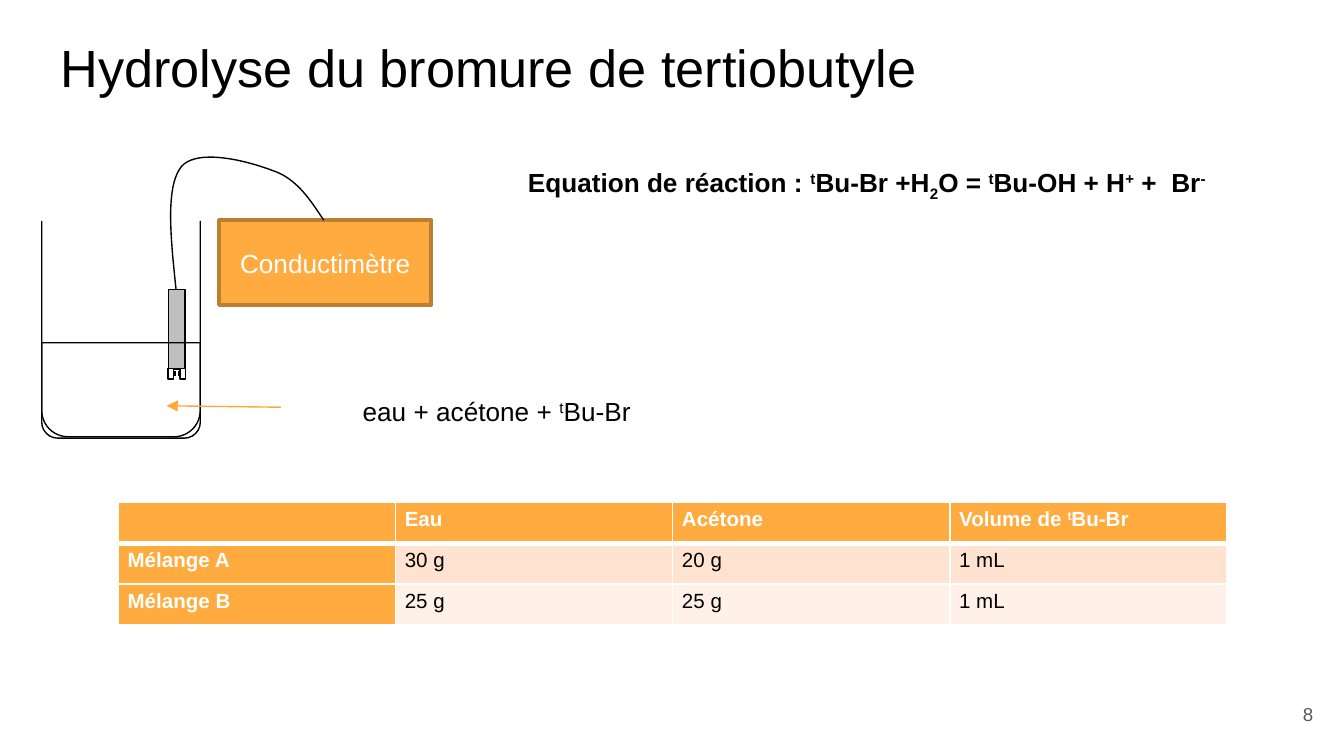
"""Build the slide on the hydrolysis of tert-butyl bromide."""
from dataclasses import dataclass
from typing import Optional

import pptx
import pptx.dml.color
import pptx.enum.shapes
import pptx.enum.text
import pptx.oxml
import pptx.oxml.ns
import pptx.util
from pptx.util import Inches

RGBColor = pptx.dml.color.RGBColor
ShapeType = pptx.enum.shapes.MSO_SHAPE
Align = pptx.enum.text.PP_ALIGN
Anchor = pptx.enum.text.MSO_ANCHOR

BLACK = RGBColor(0, 0, 0)
WHITE = RGBColor(255, 255, 255)
ORANGE = RGBColor(0xFF, 0xAB, 0x40)
DARK_ORANGE = RGBColor(0xBD, 0x7F, 0x2F)
ARROW_ORANGE = RGBColor(0xFE, 0xA8, 0x3A)
PEACH = RGBColor(0xFF, 0xE2, 0xCF)
PALE_PEACH = RGBColor(0xFF, 0xF1, 0xE8)
GREY = RGBColor(0xBF, 0xBF, 0xBF)
PAGE_GREY = RGBColor(0x59, 0x59, 0x59)
FONT = "Arial"
SUPERSCRIPT, SUBSCRIPT = 30000, -25000


@dataclass(frozen=True)
class Piece:
    text: str
    baseline: int = 0


@dataclass(frozen=True)
class Part:
    left: float
    top: float
    width: float
    height: float
    fill: Optional[RGBColor] = None
    line: RGBColor = BLACK
    line_width: float = 0.75
    kind: ShapeType = ShapeType.RECTANGLE
    rotation: float = 0


@dataclass(frozen=True)
class Segment:
    start: tuple[float, float]
    end: tuple[float, float]
    color: RGBColor = BLACK
    width: float = 1
    arrow: bool = False


TERT = Piece("t", SUPERSCRIPT)
PROBE = [
    Part(1.02, 2.39, 0.59, 0.12, GREY, rotation=90),
    Part(1.25, 2.74, 0.04, 0.08, WHITE),
    Part(1.34, 2.74, 0.04, 0.08, WHITE),
]
ELECTRODES = [Segment((x, 2.76), (x, 2.8)) for x in (1.3, 1.33)]
BEAKER = [
    Part(0.31, 1.6, 1.18, 1.65, kind=ShapeType.ROUND_2_SAME_RECTANGLE, rotation=180),
    Part(0.31, 2.55, 1.18, 0.71, kind=ShapeType.ROUND_2_SAME_RECTANGLE, rotation=180),
    Part(0.31, 1.55, 1.18, 0.09, WHITE, WHITE),
]
ARROW = Segment((2.09, 3.03), (1.24, 3.02), ARROW_ORANGE, 0.75, True)
METER = Part(1.63, 1.64, 1.58, 0.63, ORANGE, DARK_ORANGE, 2)
CABLE = [
    ((2.41, 1.64), (2.31, 1.49), (2.21, 1.33), (2.03, 1.27)),
    ((2.03, 1.27), (1.85, 1.2), (1.47, 1.1), (1.35, 1.24)),
    ((1.35, 1.24), (1.23, 1.39), (1.27, 1.77), (1.31, 2.15)),
]
CURVE_STEPS = 20
EQUATION = [
    Piece("Equation de réaction : "), TERT, Piece("Bu-Br +H"), Piece("2", SUBSCRIPT),
    Piece("O = "), TERT, Piece("Bu-OH + H"), Piece("+", SUPERSCRIPT),
    Piece(" +  Br"), Piece("-", SUPERSCRIPT),
]
SOLUTION = [Piece("eau + acétone + "), TERT, Piece("Bu-Br")]
MIXTURES = [
    [[], [Piece("Eau")], [Piece("Acétone")], [Piece("Volume de "), TERT, Piece("Bu-Br")]],
    [[Piece(text)] for text in ("Mélange A", "30 g", "20 g", "1 mL")],
    [[Piece(text)] for text in ("Mélange B", "25 g", "25 g", "1 mL")],
]
ROW_FILLS = [ORANGE, PEACH, PALE_PEACH]


def write(frame, pieces: list[Piece], size: float, color: RGBColor = BLACK,
          bold: bool = False, align: Align = Align.LEFT) -> None:
    """Fill a text frame with one paragraph."""
    paragraph = frame.paragraphs[0]
    paragraph.alignment = align
    font = paragraph.font
    font.name, font.size, font.bold = FONT, pptx.util.Pt(size), bold
    font.color.rgb = color
    for piece in pieces:
        run = paragraph.add_run()
        run.text = piece.text
        if piece.baseline:
            run._r.get_or_add_rPr().set("baseline", str(piece.baseline))


def set_margins(holder, horizontal: float, vertical: float) -> None:
    """Set the insets of a text frame or a table cell."""
    holder.margin_left = holder.margin_right = Inches(horizontal)
    holder.margin_top = holder.margin_bottom = Inches(vertical)


def draw_part(slide, part: Part):
    """Draw a preset shape."""
    shape = slide.shapes.add_shape(part.kind, *map(Inches, (part.left, part.top, part.width, part.height)))
    shape.shadow.inherit = False
    shape.rotation = part.rotation
    if part.fill is None:
        shape.fill.background()
    else:
        shape.fill.solid()
        shape.fill.fore_color.rgb = part.fill
    shape.line.color.rgb = part.line
    shape.line.width = pptx.util.Pt(part.line_width)
    return shape


def draw_segment(slide, segment: Segment) -> None:
    """Draw a straight line, with an arrowhead if asked."""
    connector = slide.shapes.add_connector(
        pptx.enum.shapes.MSO_CONNECTOR.STRAIGHT, *map(Inches, segment.start + segment.end))
    connector.line.color.rgb = segment.color
    connector.line.width = pptx.util.Pt(segment.width)
    properties = connector._element.spPr
    if segment.arrow:
        head = pptx.oxml.parse_xml(f'<a:tailEnd {pptx.oxml.ns.nsdecls("a")} type="triangle"/>')
        connector.line._get_or_add_ln().append(head)
    properties.append(pptx.oxml.parse_xml(f'<a:effectLst {pptx.oxml.ns.nsdecls("a")}/>'))


def curve_point(curve, t: float) -> tuple[int, int]:
    """Return the point of a cubic curve at t."""
    weights = ((1 - t) ** 3, 3 * t * (1 - t) ** 2, 3 * t * t * (1 - t), t ** 3)
    x, y = (sum(w * point[axis] for w, point in zip(weights, curve)) for axis in (0, 1))
    return Inches(x), Inches(y)


def draw_cable(slide) -> None:
    """Draw the cable from the meter to the probe."""
    builder = slide.shapes.build_freeform(*curve_point(CABLE[0], 0))
    points = [curve_point(curve, step / CURVE_STEPS)
              for curve in CABLE for step in range(1, CURVE_STEPS + 1)]
    builder.add_line_segments(points, close=False)
    cable = builder.convert_to_shape()
    cable.shadow.inherit = False
    cable.fill.background()
    cable.line.color.rgb = BLACK
    cable.line.width = pptx.util.Pt(0.75)


def draw_text(slide, box: tuple[float, float, float, float], pieces: list[Piece],
              bold: bool = False, wrap: bool = True) -> None:
    """Draw a text box."""
    frame = slide.shapes.add_textbox(*map(Inches, box)).text_frame
    frame.word_wrap = wrap
    frame.auto_size = pptx.enum.text.MSO_AUTO_SIZE.SHAPE_TO_FIT_TEXT
    write(frame, pieces, 14, bold=bold)


def set_border(cell, side: str, width: float) -> None:
    """Give one side of a cell a white border."""
    cell._tc.get_or_add_tcPr().append(pptx.oxml.parse_xml(
        f'<a:ln{side} {pptx.oxml.ns.nsdecls("a")} w="{pptx.util.Pt(width)}">'
        f'<a:solidFill><a:srgbClr val="{WHITE}"/></a:solidFill></a:ln{side}>'))


def draw_table(slide) -> None:
    """Draw the table of mixtures."""
    table = slide.shapes.add_table(3, 4, *map(Inches, (0.88, 3.74, 8.25, 0.91))).table
    for row, contents in enumerate(MIXTURES):
        for column, pieces in enumerate(contents):
            cell = table.cell(row, column)
            heading = row == 0 or column == 0
            set_margins(cell, 0.07, 0.04)
            write(cell.text_frame, pieces, 11, WHITE if heading else BLACK, heading)
            for side in "LRTB":
                set_border(cell, side, 3 if (row, side) in ((0, "B"), (1, "T")) else 1)
            cell.fill.solid()
            cell.fill.fore_color.rgb = ORANGE if heading else ROW_FILLS[row]


def main() -> None:
    """Build and save the presentation."""
    presentation = pptx.Presentation()
    presentation.slide_width, presentation.slide_height = Inches(10), Inches(10 * 9 / 16)
    slide = presentation.slides.add_slide(presentation.slide_layouts[5])
    title = slide.shapes.title
    title.left, title.top, title.width, title.height = map(Inches, (0.35, 0.16, 9.32, 0.63))
    set_margins(title.text_frame, 0.1, 0.1)
    title.text_frame.vertical_anchor = Anchor.TOP
    write(title.text_frame, [Piece("Hydrolyse du bromure de tertiobutyle")], 28)
    for part in PROBE:
        draw_part(slide, part)
    for electrode in ELECTRODES:
        draw_segment(slide, electrode)
    draw_table(slide)
    page = slide.shapes.add_textbox(*map(Inches, (9.27, 5.1, 0.6, 0.43))).text_frame
    set_margins(page, 0.1, 0.1)
    page.word_wrap, page.vertical_anchor = True, Anchor.MIDDLE
    write(page, [Piece("8")], 10, PAGE_GREY, align=Align.RIGHT)
    for part in BEAKER:
        draw_part(slide, part)
    draw_segment(slide, ARROW)
    meter = draw_part(slide, METER).text_frame
    set_margins(meter, 0.07, 0.04)
    meter.vertical_anchor = Anchor.MIDDLE
    write(meter, [Piece("Conductimètre")], 14, WHITE, align=Align.CENTER)
    draw_cable(slide)
    draw_text(slide, (3.83, 1.19, 8.66, 0.34), EQUATION, bold=True)
    draw_text(slide, (2.6, 2.89, 2.22, 0.34), SOLUTION, wrap=False)
    presentation.save("out.pptx")


if __name__ == "__main__":
    main()
